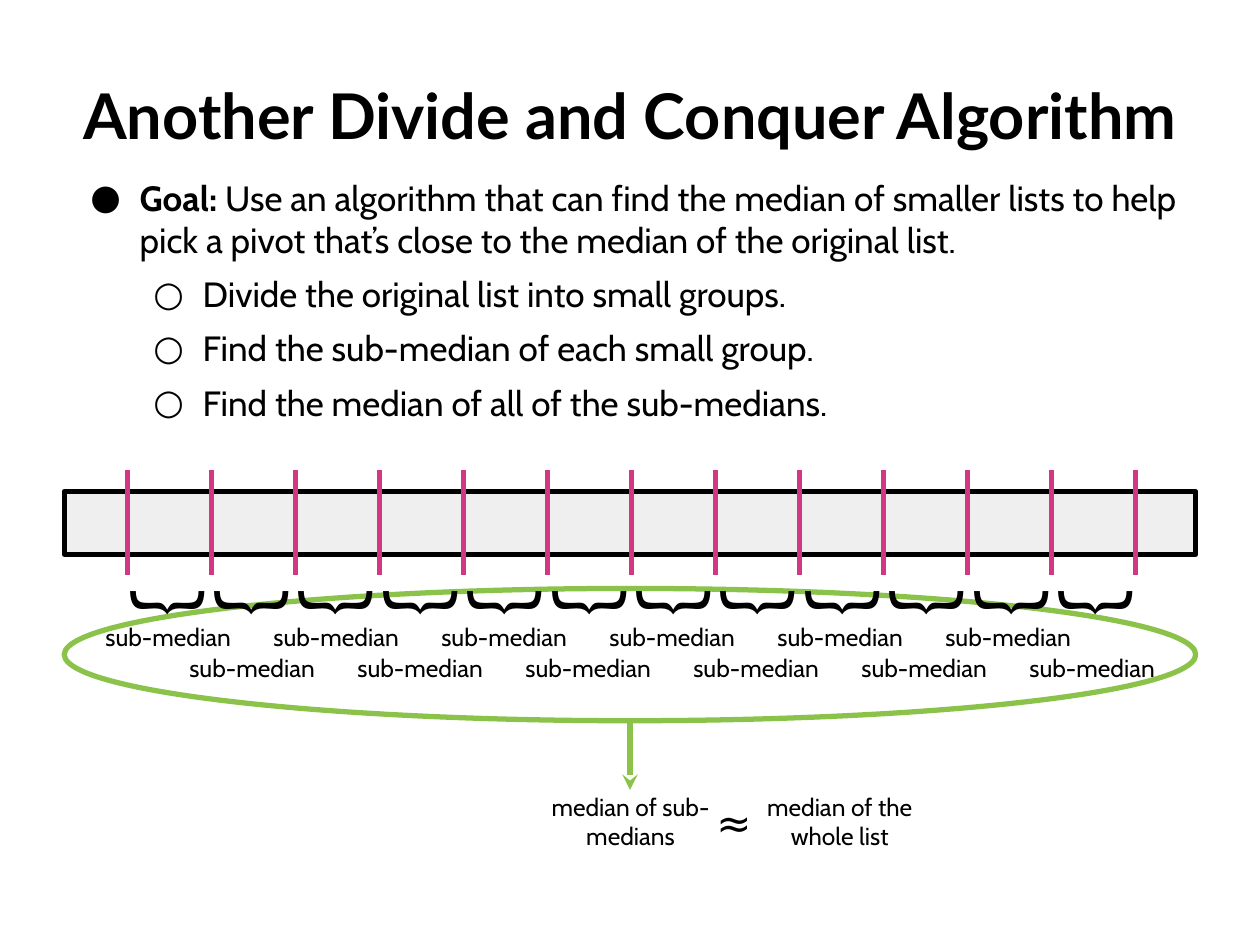
from lxml import etree
from pptx import Presentation
from pptx.dml.color import RGBColor
from pptx.enum import shapes, text
from pptx.oxml import ns
from pptx.util import Inches, Pt

COLORS = {"ink": "000000", "bar": "EFEFEF", "divider": "D33682", "median": "8BC34A"}
PITCH = 2 / 3
GROUPS = 12
CENTER = text.PP_ALIGN.CENTER
MIDDLE = text.MSO_ANCHOR.MIDDLE


def rgb(name):
    return RGBColor.from_string(COLORS[name])


class SlideBuilder:
    font = "Cabin"
    stroke = Pt(3)

    def __init__(self, slide):
        self.slide = slide

    def outline(self, sp, color):
        sp.line.color.rgb = rgb(color)
        sp.line.width = self.stroke

    def shape(self, kind, box, line, fill=None):
        sp = self.slide.shapes.add_shape(kind, *map(Inches, box))
        sp.shadow.inherit = False
        if fill:
            sp.fill.solid()
            sp.fill.fore_color.rgb = rgb(fill)
        else:
            sp.fill.background()
        self.outline(sp, line)

    def line(self, x, top, bottom, color, arrow=False):
        sp = self.slide.shapes.add_connector(
            shapes.MSO_CONNECTOR.STRAIGHT, *map(Inches, (x, top, x, bottom)))
        self.outline(sp, color)
        if arrow:
            etree.SubElement(sp.line._get_or_add_ln(), ns.qn("a:tailEnd"), type="stealth")
        etree.SubElement(sp._element.spPr, ns.qn("a:effectLst"))

    def frame(self, box, anchor=text.MSO_ANCHOR.TOP, rotation=0):
        sp = self.slide.shapes.add_textbox(*map(Inches, box))
        sp.rotation = rotation
        tf = sp.text_frame
        tf.word_wrap = True
        tf.vertical_anchor = anchor
        tf.margin_left = tf.margin_right = Inches(0.1)
        tf.margin_top = tf.margin_bottom = Inches(0.1)
        return tf

    def run(self, p, words, size, bold=False, font=None):
        r = p.add_run()
        r.text = words
        r.font.name = font or self.font
        r.font.size = Pt(size)
        r.font.bold = bold
        r.font.color.rgb = rgb("ink")

    def label(self, box, words, size=14, align=CENTER, anchor=MIDDLE, rotation=0, **style):
        p = self.frame(box, anchor, rotation).paragraphs[0]
        p.alignment = align
        self.run(p, words, size, **style)

    def bullets(self, box, items, size=20):
        tf = self.frame(box)
        for i, (level, runs) in enumerate(items):
            p = tf.add_paragraph() if i else tf.paragraphs[0]
            p.level = level
            p.space_before = Pt(7 if i else 0)
            pPr = p._p.get_or_add_pPr()
            pPr.set("marL", str(Inches(0.5 * (level + 1))))
            pPr.set("indent", str(Inches(-0.39)))
            color = etree.SubElement(pPr, ns.qn("a:buClr"))
            etree.SubElement(color, ns.qn("a:srgbClr"), val=COLORS["ink"])
            etree.SubElement(pPr, ns.qn("a:buFont"), typeface=self.font)
            etree.SubElement(pPr, ns.qn("a:buChar"), char="●○"[level])
            for words, bold in runs:
                self.run(p, words, size, bold)


def main():
    prs = Presentation()
    prs.slide_width, prs.slide_height = Inches(10), Inches(7.5)
    s = SlideBuilder(prs.slides.add_slide(prs.slide_layouts[6]))

    s.shape(shapes.MSO_SHAPE.OVAL, (0.51, 4.67, 8.98, 1.05), "median")
    s.bullets((0.51, 1.3, 8.98, 5.69), [
        (0, [("Goal:", True),
             (" Use an algorithm that can find the median of smaller lists to help "
              "pick a pivot that’s close to the median of the original list.", False)]),
        (1, [("Divide the original list into small groups.", False)]),
        (1, [("Find the sub-median of each small group.", False)]),
        (1, [("Find the median of all of the sub-medians.", False)]),
    ])
    s.label((0.51, 0.51, 8.98, 0.79), "Another Divide and Conquer Algorithm", 36,
            anchor=text.MSO_ANCHOR.TOP, bold=True, font="Lato")

    s.shape(shapes.MSO_SHAPE.RECTANGLE, (0.51, 3.9, 8.98, 0.5), "ink", "bar")
    for i in range(GROUPS + 1):
        s.line(1.01 + i * PITCH, 3.73, 4.56, "divider")
    for i in range(GROUPS):
        s.label((1.01 + i * 0.67, 4.34, 0.51, 0.79), "{", 48,
                align=text.PP_ALIGN.LEFT, rotation=270)
    for i in range(GROUPS):
        s.label((0.6 + i * PITCH, 4.8 + i % 2 * 0.25, 1.47, 0.5), "sub-median")

    s.line(5, 5.72, 6.27, "median", arrow=True)
    s.label((4.27, 6.27, 1.47, 0.5), "median of sub-medians")
    s.label((5.93, 6.27, 1.47, 0.5), "median of the whole list")
    s.label((5.51, 6.27, 0.63, 0.5), "≈", 24)
    prs.save("out.pptx")


if __name__ == "__main__":
    main()
